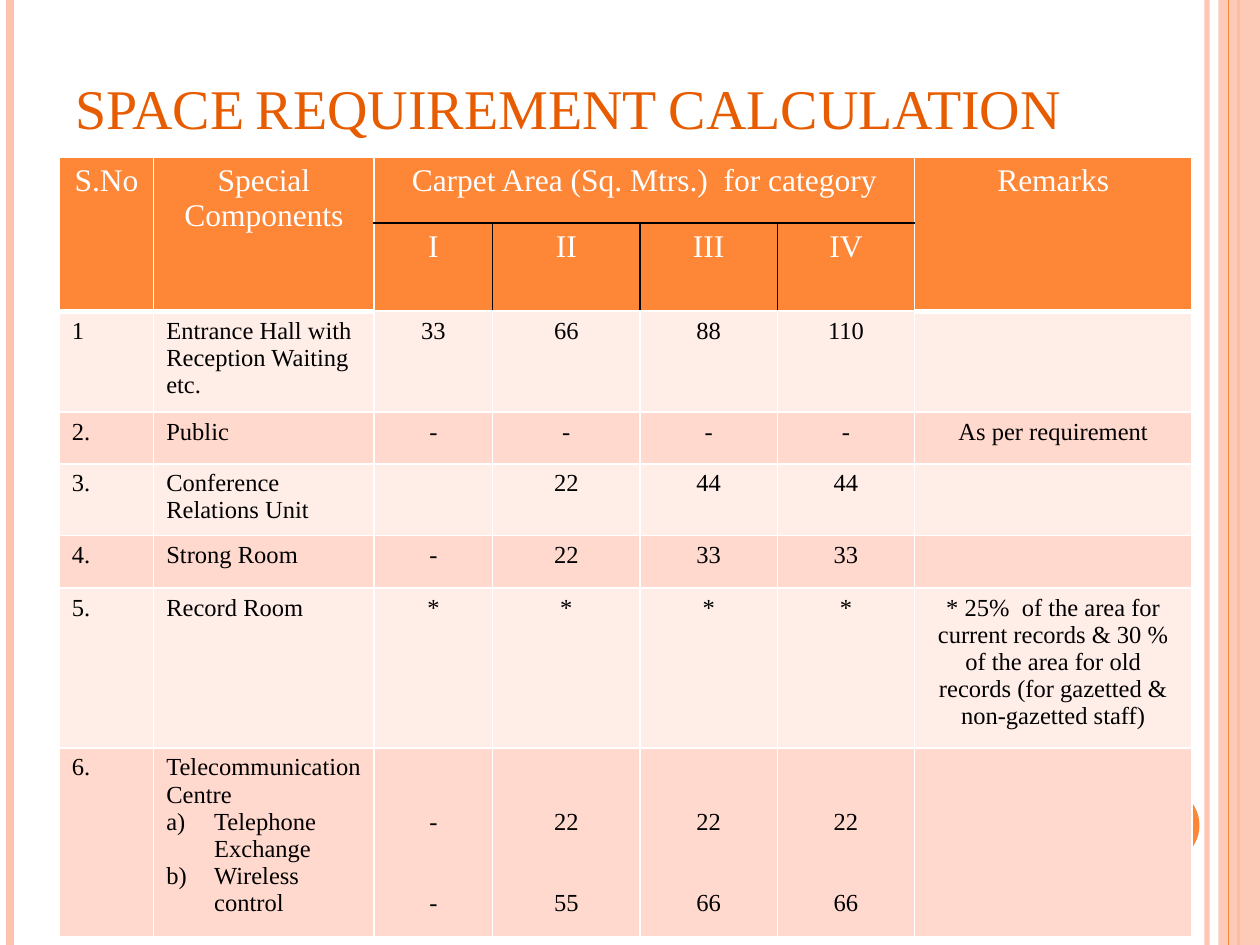
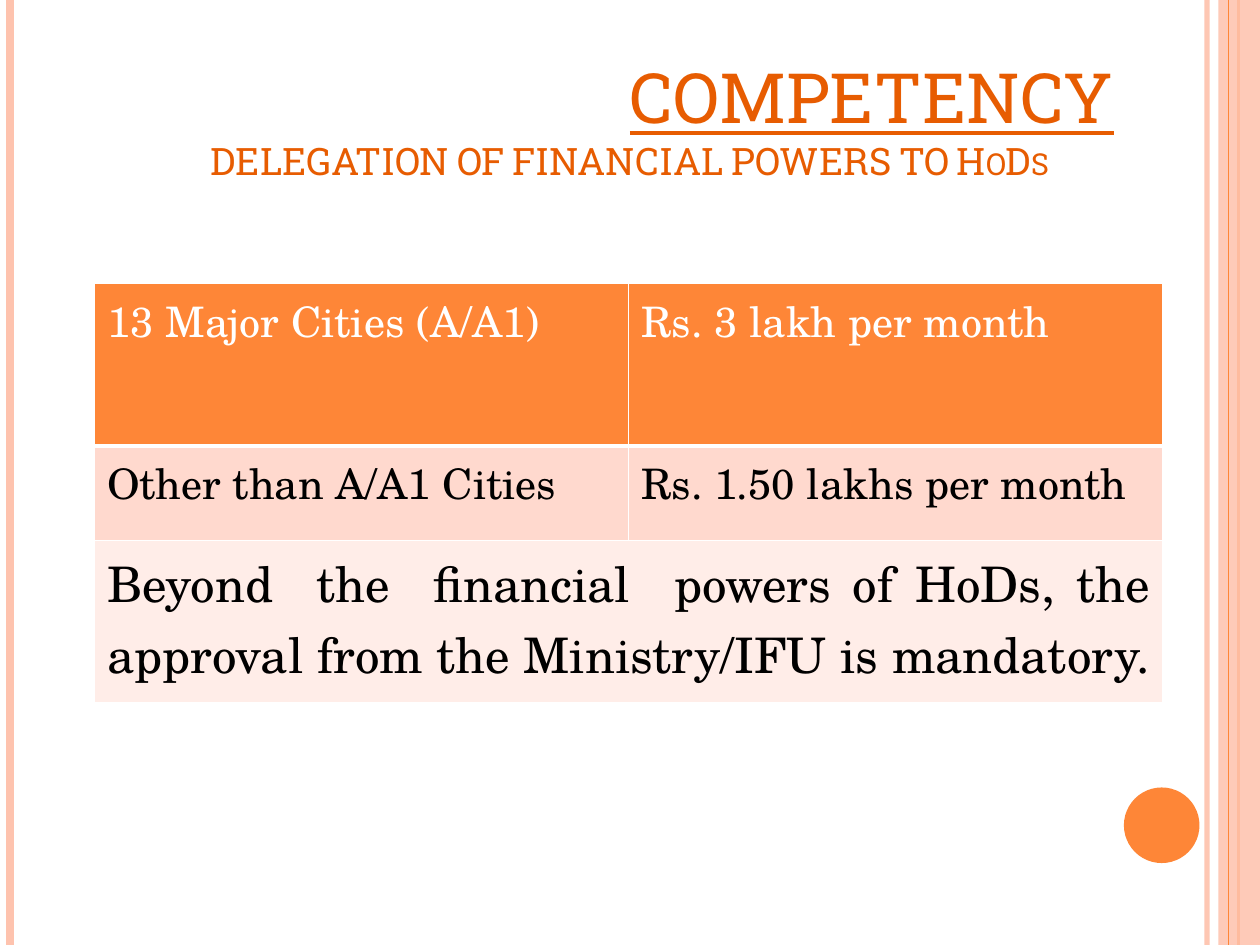
import pptx
import pptx.util
import pptx.dml.color
import pptx.enum.shapes
import pptx.enum.text
import pptx.oxml.ns
from lxml import etree

HUES = {"main": "FE8637", "pale": "FEC3AE", "title": "E75C01", "white": "FFFFFF",
        "black": "000000", "light": "FFEDE8", "mid": "FFD9CE"}
RGB = {k: pptx.dml.color.RGBColor.from_string(v) for k, v in HUES.items()}
SERIF, SLAB, BOOK = "Times New Roman", "Roboto Slab", "TeX Gyre Schola"
ALIGN = pptx.enum.text.PP_ALIGN
KIND = pptx.enum.shapes.MSO_SHAPE
Pt, qn = pptx.util.Pt, pptx.oxml.ns.qn
# The grid has 10 columns and 7.5 rows, each one inch
at = pptx.util.Inches
WIDE, HIGH = 10, 7.5


def write(para, text, size, face, hue, align=ALIGN.LEFT):
    run = para.add_run()
    run.text = text
    para.alignment = align
    font = para.font
    font.size, font.name, font.bold = Pt(size), face, False
    font.color.rgb = RGB[hue]
    return run


def dress(cell, fill, black="", thick=""):
    """Draw the four borders of a cell, then fill it."""
    props = cell._tc.get_or_add_tcPr()
    for side in "LRTB":
        line = etree.SubElement(props, qn("a:ln" + side),
                                w=str(Pt(3 if side in thick else 1)))
        paint = etree.SubElement(line, qn("a:solidFill"))
        hue = "black" if side in black else "white"
        etree.SubElement(paint, qn("a:srgbClr"), val=HUES[hue])
    cell.fill.solid()
    cell.fill.fore_color.rgb = RGB[fill]


deck = pptx.Presentation()
deck.slide_width, deck.slide_height = at(WIDE), at(HIGH)

# Shared frame: side lines, right band, dot, title box
RULES = [(9.58, "pale", 3), (0.08, "pale", 4.5), (9.83, "main", 1.5),
         (9.75, "main", 0.75)]
TITLES = [0.87, 1.2]
slides, heads = [], []
for tall in TITLES:
    slide = deck.slides.add_slide(deck.slide_layouts[6])
    for left, hue, width in RULES:
        if left == 9.75:
            band = slide.shapes.add_shape(KIND.RECTANGLE, at(9.67), 0, at(0.33), at(HIGH))
            band.shadow.inherit = False
            band.fill.solid()
            band.fill.fore_color.rgb = RGB["pale"]
            band.line.fill.background()
            tint = next(band.fill._xPr.iter(qn("a:srgbClr")))
            etree.SubElement(tint, qn("a:alpha"), val="87000")
        rule = slide.shapes.add_connector(pptx.enum.shapes.MSO_CONNECTOR.STRAIGHT,
                                          at(left), 0, at(left), at(HIGH))
        rule.line.color.rgb = RGB[hue]
        rule.line.width = Pt(width)
        etree.SubElement(rule._element.spPr, qn("a:effectLst"))
        if left == 9.58:
            tint = next(rule._element.spPr.iter(qn("a:srgbClr")))
            etree.SubElement(tint, qn("a:alpha"), val="93000")
    dot = slide.shapes.add_shape(KIND.OVAL, at(8.92), at(6.25), at(0.6), at(0.6))
    dot.shadow.inherit = False
    dot.fill.solid()
    dot.fill.fore_color.rgb = RGB["main"]
    dot.line.fill.background()
    head = slide.shapes.add_textbox(at(0.5), at(0.3), at(9), at(tall)).text_frame
    head.word_wrap = True
    head.vertical_anchor = pptx.enum.text.MSO_ANCHOR.BOTTOM
    slides.append(slide)
    heads.append(head)

# Titles, all in small caps
runs = [write(heads[0].paragraphs[0], "SPACE REQUIREMENT CALCULATION", 32, SERIF, "title")]
first, second = heads[1].paragraphs[0], heads[1].add_paragraph()
first._p.get_or_add_pPr().set("marL", str(at(4.4)))
runs.append(write(first, "COMPETENCY", 39.6, SLAB, "title"))
first.font.underline = True
runs.append(write(second, "DELEGATION OF FINANCIAL POWERS TO HoDs", 21.6, SLAB,
                  "title", ALIGN.CENTER))
for run in runs:
    run._r.get_or_add_rPr().set("cap", "small")

# Tables: empty grids with their column and row sizes
GRIDS = [
    (0.47, 1.25, [0.75, 1.75, 0.94, 1.17, 1.09, 1.09, 2.2],
     [0.52, 0.65, 0.75, 0.41, 0.56, 0.42, 1.18, 1.38]),
    (0.75, 2.25, [4.24, 4.24], [1.29, 0.75, 1.29]),
]
tables = []
for slide, (left, top, cols, rows) in zip(slides, GRIDS):
    table = slide.shapes.add_table(len(rows), len(cols), at(left), at(top),
                                   at(sum(cols)), at(sum(rows))).table
    table.first_row = table.horz_banding = False
    for col, width in zip(table.columns, cols):
        col.width = at(width)
    for row, tall in zip(table.rows, rows):
        row.height = at(tall)
    tables.append(table)

# Space table: two header rows, then one row per component
SPACE = [
    ["S.No", "Special Components", "Carpet Area (Sq. Mtrs.)  for category",
     "", "", "", "Remarks"],
    ["", "", "I", "II", "III", "IV", ""],
    ["1", "Entrance Hall with Reception Waiting etc.", "33", "66", "88", "110", ""],
    ["2.", "Public", "-", "-", "-", "-", "As per requirement"],
    ["3.", "Conference Relations Unit", "", "22", "44", "44", ""],
    ["4.", "Strong Room", "-", "22", "33", "33", ""],
    ["5.", "Record Room", "*", "*", "*", "*",
     "* 25%  of the area for current records & 30 % of the area for old records "
     "(for gazetted & non-gazetted staff)"],
    ["6.", "Telecommunication Centre\nTelephone Exchange\nWireless control",
     "-\n-", "22\n55", "22\n66", "22\n66", ""],
]
table = tables[0]
for r, row in enumerate(SPACE):
    for c, text in enumerate(row):
        cell = table.cell(r, c)
        black = thick = ""
        if r < 2:
            fill, size, hue = "main", 18, "white"
            if 2 <= c <= 5:
                black = "T" * r + "B" * (1 - r)
                black += "L" * (r and c > 2) + "R" * (r and c < 5)
            else:
                thick = "B"
        else:
            fill, size, hue = ("mid" if r % 2 else "light"), 14, "black"
        dress(cell, fill, black, thick)
        align = ALIGN.CENTER if r < 2 or c > 1 else ALIGN.LEFT
        parts = text.split("\n") if text else []
        for n, part in enumerate(parts):
            para = cell.text_frame.add_paragraph() if n else cell.text_frame.paragraphs[0]
            if n and c == 1:
                props = para._p.get_or_add_pPr()
                props.set("marL", str(at(0.38)))
                props.set("indent", str(-at(0.38)))
                etree.SubElement(props, qn("a:buFont"), typeface="+mj-lt")
                etree.SubElement(props, qn("a:buAutoNum"), type="alphaLcParenR")
            elif n:
                para.space_before = Pt(31)
            write(para, part, size, SERIF, hue, align)
        # Figures of the last row line up with its lettered items
        if len(parts) == 2:
            cell.margin_top = at(0.48)
for c in (0, 1, 6):
    table.cell(0, c).merge(table.cell(1, c))
table.cell(0, 2).merge(table.cell(0, 5))

# Powers table: header, one row, then a note across both columns
POWERS = [
    ("main", "white", 24, ["13 Major Cities (A/A1)", "Rs. 3 lakh per month"]),
    ("mid", "black", 24, ["Other than A/A1 Cities", "Rs. 1.50 lakhs per month"]),
    ("light", "black", 28, ["Beyond  the  financial  powers of HoDs, the approval from "
                            "the Ministry/IFU is mandatory.", ""]),
]
table = tables[1]
for r, (fill, hue, size, row) in enumerate(POWERS):
    for c, text in enumerate(row):
        cell = table.cell(r, c)
        dress(cell, fill, thick="" if r else "B")
        if text:
            write(cell.text_frame.paragraphs[0], text, size, BOOK, hue,
                  ALIGN.JUSTIFY if r == 2 else ALIGN.LEFT)
table.cell(2, 0).merge(table.cell(2, 1))

deck.save("out.pptx")
